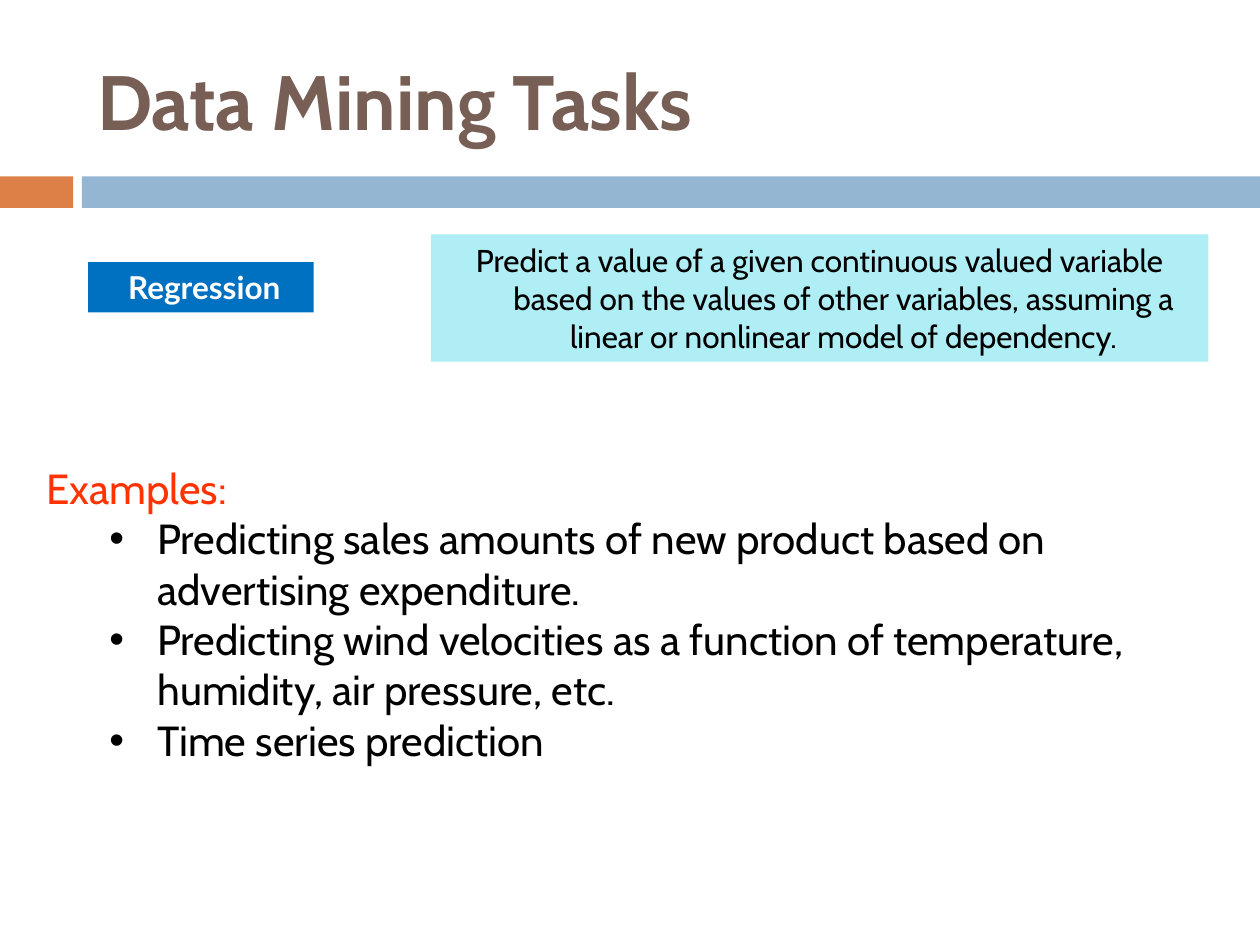
"""Build the Data Mining Tasks slide about regression."""
from lxml import etree
from pptx import Presentation
from pptx import util as u
from pptx.dml.color import RGBColor
from pptx.enum import shapes, text
from pptx.oxml.ns import qn

TITLE = "Data Mining Tasks"
TASK = "Regression"
DEFINITION = (
    "Predict a value of a given continuous valued variable based on the values "
    "of other variables, assuming a linear or nonlinear model of dependency."
)
EXAMPLES_HEADING = "Examples:"
EXAMPLES = [
    "Predicting sales amounts of new product based on advertising expenditure.",
    "Predicting wind velocities as a function of temperature, humidity, air pressure, etc.",
    "Time series prediction",
]
BANDS = [(0, 0.58, "DD8047"), (0.65, 9.35, "94B6D2")]
BAND_TOP, BAND_HEIGHT = 1.4, 0.25
HANG = 0.38


def color(hex_code):
    return RGBColor.from_string(hex_code)


def add_box(slide, left, top, width, height, fill):
    box = slide.shapes.add_shape(
        shapes.MSO_SHAPE.RECTANGLE, *map(u.Inches, (left, top, width, height))
    )
    box.shadow.inherit = False
    box.fill.solid()
    box.fill.fore_color.rgb = color(fill)
    box.line.fill.background()
    return box


def write(paragraph, words, size=24, font="Cabin", fill="000000", bold=False,
          align=text.PP_ALIGN.LEFT, margin=0, hang=0, level=0, bullet=None):
    paragraph.alignment = align
    paragraph.level = level
    run = paragraph.add_run()
    run.text = words
    run.font.size = u.Pt(size)
    run.font.name = font
    run.font.bold = bold
    run.font.color.rgb = color(fill)
    props = paragraph._p.get_or_add_pPr()
    props.set("marL", str(u.Inches(margin)))
    props.set("indent", str(-u.Inches(hang)))
    if bullet:
        etree.SubElement(props, qn("a:buFont")).set("typeface", "Arial")
        etree.SubElement(props, qn("a:buChar")).set("char", bullet)


def main():
    deck = Presentation()
    deck.slide_width, deck.slide_height = u.Inches(10), u.Inches(7.5)
    slide = deck.slides.add_slide(deck.slide_layouts[5])

    for left, width, fill in BANDS:
        add_box(slide, left, BAND_TOP, width, BAND_HEIGHT, fill)

    title = slide.shapes.title
    title.left, title.top = u.Inches(0.67), u.Inches(0.25)
    title.width, title.height = u.Inches(8.92), u.Inches(1.08)
    title.text_frame.vertical_anchor = text.MSO_ANCHOR.MIDDLE
    write(title.text_frame.paragraphs[0], TITLE, size=44, fill="775F55", bold=True)

    task = add_box(slide, 0.7, 2.08, 1.79, 0.4, "0070C0").text_frame
    task.word_wrap = False
    task.margin_left = u.Inches(0.15)
    write(task.paragraphs[0], TASK, size=18, font="Lato", fill="FFFFFF", bold=True,
          align=text.PP_ALIGN.CENTER)

    examples = slide.shapes.add_textbox(
        *map(u.Inches, (0.27, 3.62, 9.69, 2.52))
    ).text_frame
    examples.word_wrap = True
    write(examples.paragraphs[0], EXAMPLES_HEADING, fill="FF3300", margin=HANG, hang=HANG)
    for example in EXAMPLES:
        write(examples.add_paragraph(), example, margin=HANG + 0.5, hang=HANG,
              level=1, bullet="•")

    definition = add_box(slide, 3.42, 1.86, 6.17, 1.01, "AFEEF5").text_frame
    definition.word_wrap = True
    write(definition.paragraphs[0], DEFINITION, size=18, align=text.PP_ALIGN.CENTER,
          margin=HANG, hang=HANG)

    deck.save("out.pptx")


if __name__ == "__main__":
    main()
